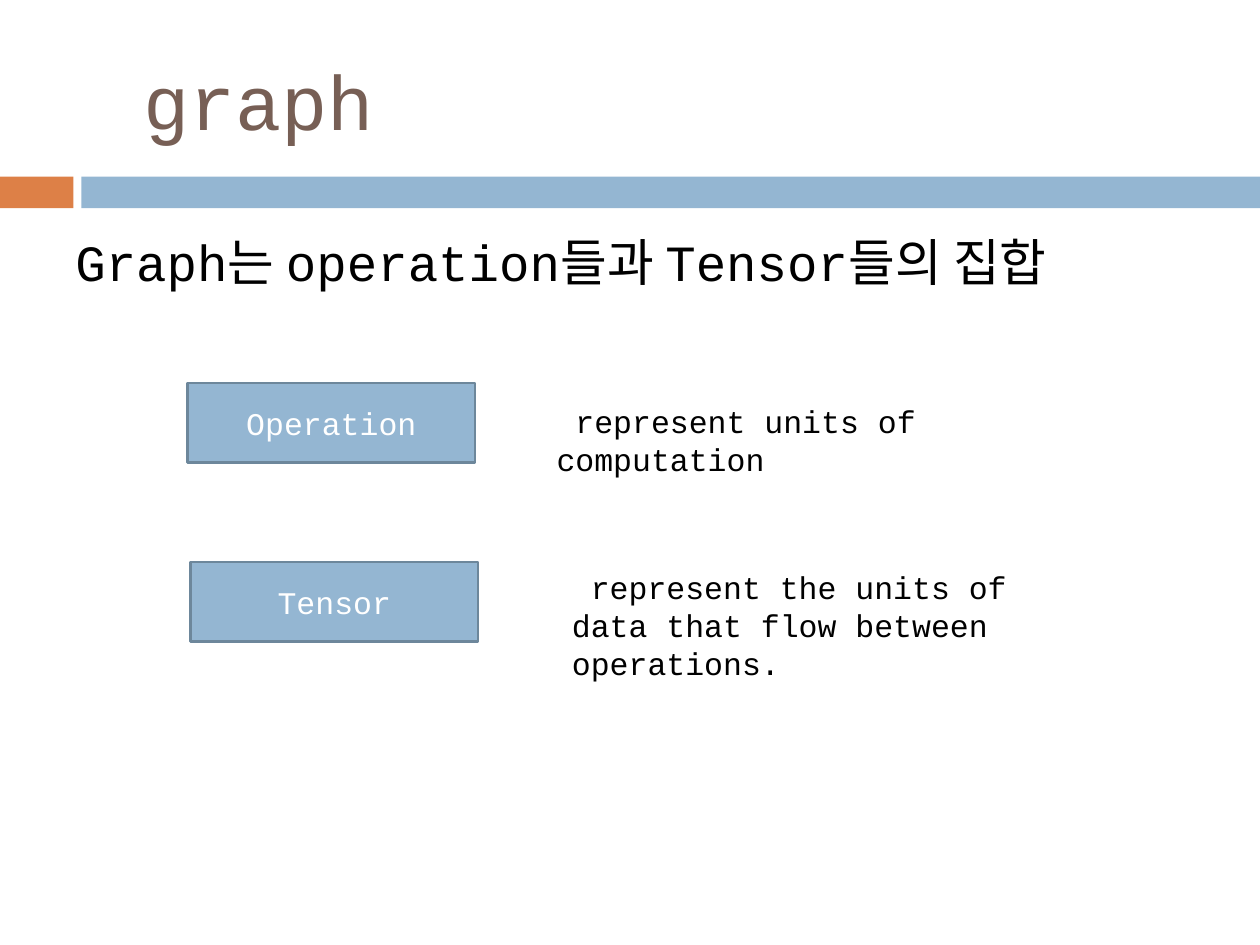
from dataclasses import dataclass

from pptx import Presentation
from pptx.dml.color import RGBColor
from pptx.enum import shapes, text
from pptx.util import Cm, Pt

FONT = "Courier New"
ORANGE = RGBColor(0xDD, 0x80, 0x47)
BLUE = RGBColor(0x94, 0xB6, 0xD2)
DARK_BLUE = RGBColor(0x6D, 0x87, 0x9B)
BROWN = RGBColor(0x77, 0x5F, 0x55)
BLACK = RGBColor(0, 0, 0)
WHITE = RGBColor(0xFF, 0xFF, 0xFF)


@dataclass
class Box:
    """Position and size in centimetres."""
    left: float
    top: float
    width: float
    height: float

    def lengths(self) -> list:
        return [Cm(v) for v in (self.left, self.top, self.width, self.height)]


@dataclass
class Concept:
    term: str
    term_box: Box
    meaning: str
    meaning_box: Box


CONCEPTS = [
    Concept("Operation", Box(3.78, 7.72, 5.8, 1.6),
            " represent units of computation", Box(10.97, 7.98, 10.39, 1.02)),
    Concept("Tensor", Box(3.84, 11.33, 5.8, 1.6),
            " represent the units of data that flow between operations.",
            Box(11.28, 11.33, 10.39, 1.8)),
]


def write(shape, words: str, size: float, color: RGBColor,
          align=text.PP_ALIGN.LEFT, anchor=text.MSO_ANCHOR.TOP):
    """Put one formatted paragraph in a shape and return it."""
    frame = shape.text_frame
    frame.text = words
    frame.word_wrap = True
    frame.vertical_anchor = anchor
    paragraph = frame.paragraphs[0]
    paragraph.alignment = align
    for run in paragraph.runs:
        run.font.name = FONT
        run.font.size = Pt(size)
        run.font.color.rgb = color
    return paragraph


def add_rectangle(slide, box: Box, fill: RGBColor):
    rectangle = slide.shapes.add_shape(shapes.MSO_SHAPE.RECTANGLE, *box.lengths())
    rectangle.shadow.inherit = False
    rectangle.fill.solid()
    rectangle.fill.fore_color.rgb = fill
    rectangle.line.fill.background()
    return rectangle


def add_concept(slide, concept: Concept) -> None:
    term = add_rectangle(slide, concept.term_box, BLUE)
    term.line.color.rgb = DARK_BLUE
    term.line.width = Pt(1.5)
    write(term, concept.term, 18, WHITE,
          text.PP_ALIGN.CENTER, text.MSO_ANCHOR.MIDDLE)
    meaning = slide.shapes.add_textbox(*concept.meaning_box.lengths())
    write(meaning, concept.meaning, 18, BLACK)


def main() -> None:
    deck = Presentation()
    deck.slide_width, deck.slide_height = Cm(25.4), Cm(19.05)
    slide = deck.slides.add_slide(deck.slide_layouts[5])

    # Title
    title = slide.shapes.title
    title.left, title.top, title.width, title.height = Box(1.7, 0.64, 22.66, 2.74).lengths()
    write(title, " graph", 44, BROWN, anchor=text.MSO_ANCHOR.MIDDLE)

    # Band under the title
    add_rectangle(slide, Box(0, 3.56, 1.48, 0.64), ORANGE)
    add_rectangle(slide, Box(1.64, 3.56, 23.76, 0.64), BLUE)

    # Definition of a graph
    definition = slide.shapes.add_textbox(*Box(1.27, 4.52, 22.86, 4.6).lengths())
    sentence = write(definition, "Graph는 operation들과 Tensor들의 집합", 29, BLACK)
    sentence.space_before = Pt(7)

    # Parts of a graph and their meanings
    for concept in CONCEPTS:
        add_concept(slide, concept)

    deck.save("out.pptx")


if __name__ == "__main__":
    main()
